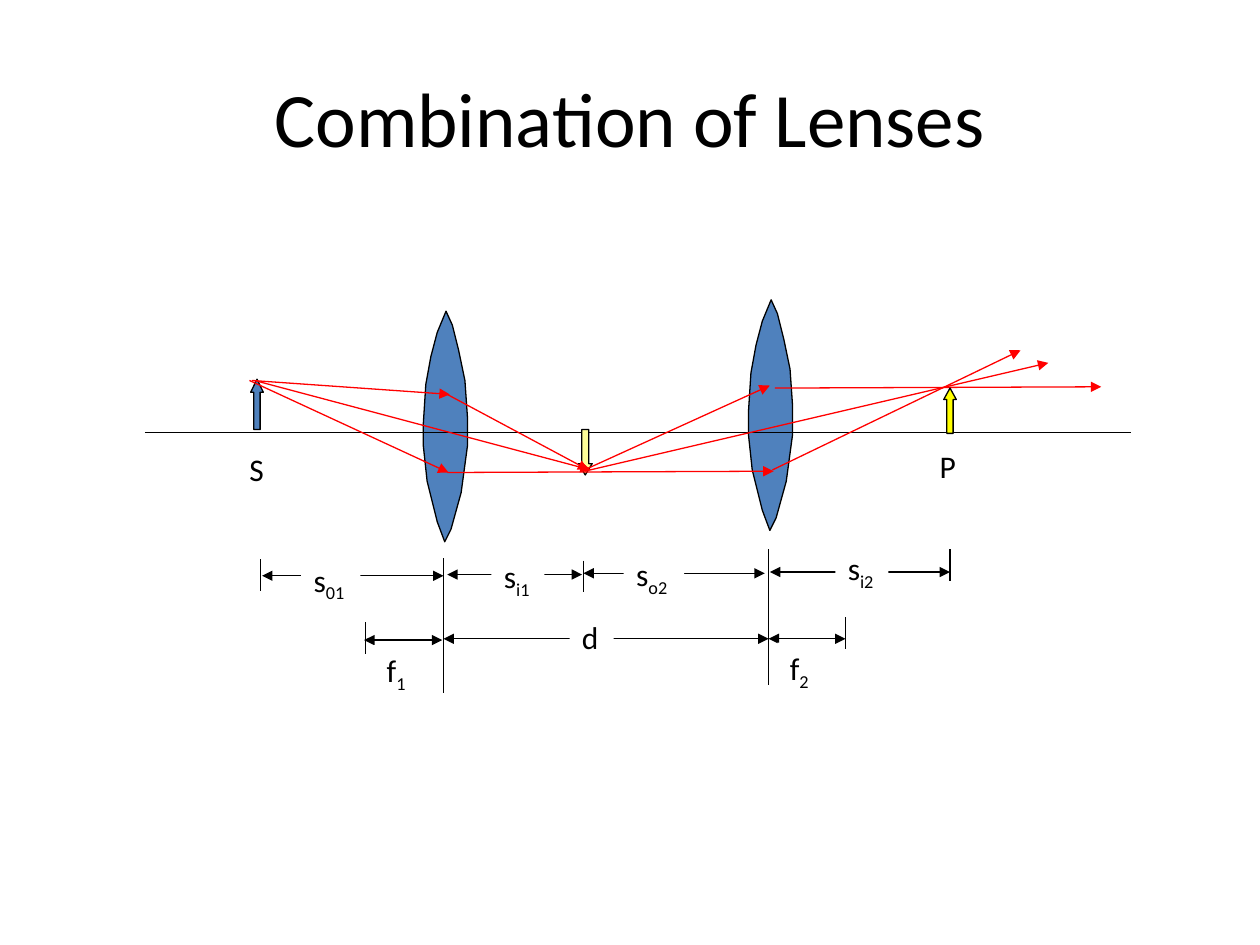
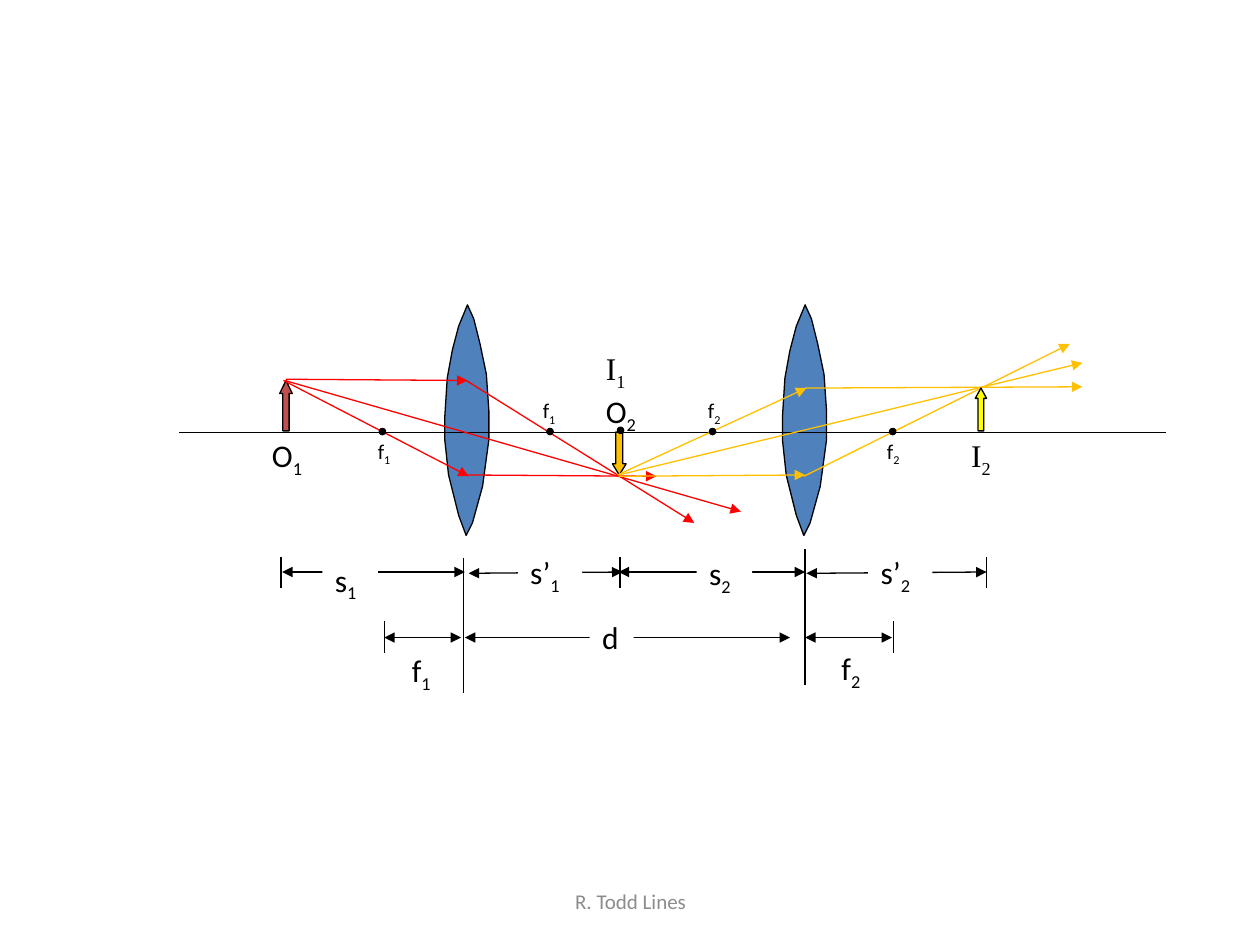
import lxml.etree
import pptx
import pptx.dml.color
import pptx.enum.shapes
import pptx.enum.text
import pptx.oxml.ns
import pptx.util

Inches = pptx.util.Inches
Pt = pptx.util.Pt
SHAPE = pptx.enum.shapes.MSO_SHAPE
ALIGN = pptx.enum.text.PP_ALIGN

# Shared look
BLACK, WHITE, GREY = "000000", "FFFFFF", "8C8C8C"
RED, ORANGE, YELLOW = "FF0000", "FFC000", "FFFF00"
BLUE, BRICK, PALE = "4F81BD", "C0504D", "FFFF99"
BODY_FONT, SERIF_FONT = "Calibri", "Times New Roman"
AXIS_Y, DOT_SIZE, TICK_HEIGHT = 3.43, 0.05, 0.25

# Lens outline, measured from its upper tip
LENS = [(0, 0), (-0.07, 0.17), (-0.12, 0.36), (-0.16, 0.58), (-0.18, 0.89),
        (-0.18, 1.07), (-0.15, 1.35), (-0.07, 1.67), (-0.01, 1.83),
        (0.04, 1.73), (0.12, 1.44), (0.17, 1.07), (0.17, 0.84),
        (0.15, 0.55), (0.1, 0.31), (0.05, 0.11)]

# Content. An underscore in a label starts its subscript.
# lenses: tip x, y; arrows: left, top, width, height, head, fill, direction
# rays and spans: x1, y1, x2, y2; ticks and lens_marks: x, top (, height)
# labels: text, left, top, width
two_lenses = {
    "title": "Combination of Lenses",
    "lenses": [(6.12, 2.38), (3.54, 2.47)],
    "axis": (1.15, 8.98),
    "arrows": [
        (1.99, 3.01, 0.1, 0.4, 1.036, BLUE, "up"),
        (4.59, 3.41, 0.11, 0.36, 0.812, PALE, "down"),
        (7.49, 3.08, 0.1, 0.36, 0.915, YELLOW, "up"),
    ],
    "rays": {
        RED: [
            (2, 3.02, 3.57, 3.13), (1.98, 3.02, 3.56, 3.75),
            (3.53, 3.12, 4.67, 3.73), (2.02, 3.02, 4.69, 3.73),
            (3.55, 3.75, 6.14, 3.74), (4.64, 3.74, 8.32, 2.88),
            (6.13, 3.73, 8.1, 2.78), (4.66, 3.72, 6.11, 3.06),
            (6.15, 3.08, 8.74, 3.07),
        ],
    },
    "ticks": [(2.07, 4.44), (7.54, 4.36), (2.9, 4.94), (4.63, 4.45),
              (6.71, 4.9)],
    "lens_marks": [(3.52, 4.43, 1.07), (6.1, 4.36, 1.08)],
    "spans": [
        (2.08, 4.57, 3.52, 4.57), (3.55, 4.56, 4.62, 4.56),
        (4.63, 4.55, 6.07, 4.55), (6.11, 4.54, 7.54, 4.54),
        (2.89, 5.08, 3.51, 5.08), (3.52, 5.07, 6.1, 5.07),
        (6.1, 5.07, 6.71, 5.07),
    ],
    "distances": [
        ("s_01", 2.39, 4.4, 0.47), ("s_i1", 3.9, 4.37, 0.42),
        ("s_o2", 4.95, 4.36, 0.48), ("s_i2", 6.63, 4.31, 0.42),
        ("f_1", 2.97, 5.12, 0.38), ("d", 4.52, 4.86, 0.35),
        ("f_2", 6.17, 5.1, 0.38),
    ],
    "points": [("S", 1.88, 3.52, 0.32), ("P", 7.36, 3.5, 0.33)],
    "foci": [],
    "dots": [],
}

relayed_image = {
    "footer": "R. Todd Lines",
    "lenses": [(6.39, 2.42), (3.71, 2.42)],
    "axis": (1.42, 9.25),
    "arrows": [
        (2.22, 3.02, 0.1, 0.4, 1.036, BRICK, "up"),
        (4.86, 3.43, 0.11, 0.34, 0.812, ORANGE, "down"),
        (7.74, 3.08, 0.09, 0.34, 0.915, YELLOW, "up"),
    ],
    "rays": {
        RED: [
            (2.27, 3.01, 3.71, 3.02), (2.25, 3.02, 3.72, 3.78),
            (3.7, 3.02, 5.51, 4.15), (2.26, 3.02, 5.88, 4.06),
            (3.71, 3.77, 5.21, 3.78),
        ],
        ORANGE: [
            (4.91, 3.77, 8.59, 2.88), (6.38, 3.78, 8.49, 2.73),
            (4.9, 3.77, 6.4, 3.08), (6.39, 3.08, 8.59, 3.07),
            (4.91, 3.78, 6.39, 3.77),
        ],
    },
    "ticks": [(2.23, 4.42), (7.83, 4.42), (3.05, 4.93), (4.92, 4.42),
              (7.09, 4.93)],
    "lens_marks": [(3.68, 4.43, 1.07), (6.39, 4.36, 1.08)],
    "spans": [
        (2.24, 4.54, 3.69, 4.54), (3.72, 4.55, 4.94, 4.54),
        (4.91, 4.54, 6.39, 4.54), (6.4, 4.55, 7.83, 4.54),
        (3.05, 5.06, 3.66, 5.06), (3.69, 5.06, 6.27, 5.06),
        (6.39, 5.06, 7.08, 5.06),
    ],
    "distances": [
        ("s_1", 2.56, 4.4, 0.44), ("s’_1", 4.11, 4.34, 0.51),
        ("s_2", 5.53, 4.35, 0.44), ("s’_2", 6.89, 4.34, 0.51),
        ("f_1", 3.17, 5.12, 0.38), ("d", 4.68, 4.86, 0.35),
        ("f_2", 6.58, 5.1, 0.38),
    ],
    "points": [("O_1", 2.06, 3.41, 0.49), ("I_2", 7.61, 3.41, 0.38),
               ("I_1\nO_2", 4.71, 2.72, 0.49)],
    "foci": [("f_2", 6.94, 3.43, 0.32), ("f_2", 5.52, 3.11, 0.32),
             ("f_1", 2.9, 3.43, 0.32), ("f_1", 4.21, 3.11, 0.32)],
    "dots": [(3.01, 3.4), (4.34, 3.4), (5.63, 3.4), (7.06, 3.4),
             (4.9, 3.39)],
}


def rgb(colour):
    return pptx.dml.color.RGBColor.from_string(colour)


def paint(shape, fill, outline=BLACK):
    shape.shadow.inherit = False
    shape.fill.solid()
    shape.fill.fore_color.rgb = rgb(fill)
    if outline:
        shape.line.color.rgb = rgb(outline)
        shape.line.width = Pt(0.75)
    else:
        shape.line.fill.background()


def add_run(paragraph, text, size, font=BODY_FONT, colour=BLACK):
    run = paragraph.add_run()
    run.text = text
    run.font.size = Pt(size)
    run.font.name = font
    run.font.color.rgb = rgb(colour)
    return run


def add_element(parent, tag, **attributes):
    lxml.etree.SubElement(parent, pptx.oxml.ns.qn(tag), attributes)


def add_line(slide, x1, y1, x2, y2, colour=BLACK, ends=()):
    line = slide.shapes.add_connector(
        pptx.enum.shapes.MSO_CONNECTOR.STRAIGHT,
        Inches(x1), Inches(y1), Inches(x2), Inches(y2))
    line.line.color.rgb = rgb(colour)
    line.line.width = Pt(0.75)
    properties = line._element.spPr
    outline = properties.find(pptx.oxml.ns.qn("a:ln"))
    for end in ends:
        add_element(outline, f"a:{end}", type="triangle")
    add_element(properties, "a:effectLst")


def add_preset(slide, preset, left, top, width, height):
    return slide.shapes.add_shape(
        preset, Inches(left), Inches(top), Inches(width), Inches(height))


def add_lens(slide, tip_x, tip_y):
    outline = [(Inches(tip_x + dx), Inches(tip_y + dy)) for dx, dy in LENS]
    builder = slide.shapes.build_freeform(*outline[0])
    builder.add_line_segments(outline[1:], close=True)
    paint(builder.convert_to_shape(), BLUE)


def add_arrow(slide, left, top, width, height, head, fill, direction):
    preset = SHAPE.UP_ARROW if direction == "up" else SHAPE.DOWN_ARROW
    arrow = add_preset(slide, preset, left, top, width, height)
    arrow.adjustments[0] = 0.5
    arrow.adjustments[1] = head
    paint(arrow, fill)


def add_label(slide, text, left, top, width, size=18, boxed=False):
    lines = text.split("\n")
    height = 0.3 if size == 12 else 0.4 + 0.51 * (len(lines) - 1)
    if boxed:
        label = add_preset(slide, SHAPE.RECTANGLE, left, top, width, height)
        paint(label, WHITE, outline=None)
    else:
        label = slide.shapes.add_textbox(
            Inches(left), Inches(top), Inches(width), Inches(height))
    frame = label.text_frame
    frame.word_wrap = False
    frame.auto_size = pptx.enum.text.MSO_AUTO_SIZE.SHAPE_TO_FIT_TEXT
    frame.vertical_anchor = pptx.enum.text.MSO_ANCHOR.TOP
    for i, line in enumerate(lines):
        paragraph = frame.add_paragraph() if i else frame.paragraphs[0]
        paragraph.alignment = ALIGN.LEFT
        symbol, _, subscript = line.partition("_")
        font = SERIF_FONT if symbol == "I" else BODY_FONT
        add_run(paragraph, symbol, size, font)
        if subscript:
            run = add_run(paragraph, subscript, size, font)
            run.font._element.set("baseline", "-25000")


def add_title(slide, text):
    title = slide.shapes.title
    title.left, title.top = Inches(0.5), Inches(0.3)
    title.width, title.height = Inches(9), Inches(1.25)
    title.text_frame.vertical_anchor = pptx.enum.text.MSO_ANCHOR.MIDDLE
    paragraph = title.text_frame.paragraphs[0]
    paragraph.alignment = ALIGN.CENTER
    add_run(paragraph, text, 44)


def add_footer(slide, text):
    footer = slide.shapes.add_textbox(
        Inches(3.42), Inches(6.95), Inches(3.17), Inches(0.4))
    footer.text_frame.word_wrap = True
    footer.text_frame.vertical_anchor = pptx.enum.text.MSO_ANCHOR.MIDDLE
    paragraph = footer.text_frame.paragraphs[0]
    paragraph.alignment = ALIGN.CENTER
    add_run(paragraph, text, 12, colour=GREY)


def draw_diagram(slide, diagram):
    # Lenses and optical axis
    for tip in diagram["lenses"]:
        add_lens(slide, *tip)
    start, end = diagram["axis"]
    add_line(slide, start, AXIS_Y, end, AXIS_Y)

    # Object, intermediate image, rays, final image
    *early_arrows, final_image = diagram["arrows"]
    for arrow in early_arrows:
        add_arrow(slide, *arrow)
    for colour, rays in diagram["rays"].items():
        for ray in rays:
            add_line(slide, *ray, colour=colour, ends=["tailEnd"])
    add_arrow(slide, *final_image)

    # Dimension lines
    ticks = [(x, top, TICK_HEIGHT) for x, top in diagram["ticks"]]
    for x, top, height in ticks + diagram["lens_marks"]:
        add_line(slide, x, top, x, top + height)
    for span in diagram["spans"]:
        add_line(slide, *span, ends=["headEnd", "tailEnd"])

    # Labels and focal points
    for distance in diagram["distances"]:
        add_label(slide, *distance, boxed=True)
    for focus in diagram["foci"]:
        add_label(slide, *focus, size=12)
    for point in diagram["points"]:
        add_label(slide, *point)
    for left, top in diagram["dots"]:
        dot = add_preset(slide, SHAPE.OVAL, left, top, DOT_SIZE, DOT_SIZE)
        paint(dot, BLACK)


def main():
    deck = pptx.Presentation()
    deck.slide_width, deck.slide_height = Inches(10), Inches(7.5)
    title_only, blank = deck.slide_layouts[5], deck.slide_layouts[6]
    for diagram in (two_lenses, relayed_image):
        slide = deck.slides.add_slide(
            title_only if "title" in diagram else blank)
        if "title" in diagram:
            add_title(slide, diagram["title"])
        if "footer" in diagram:
            add_footer(slide, diagram["footer"])
        draw_diagram(slide, diagram)
    deck.save("out.pptx")


if __name__ == "__main__":
    main()
